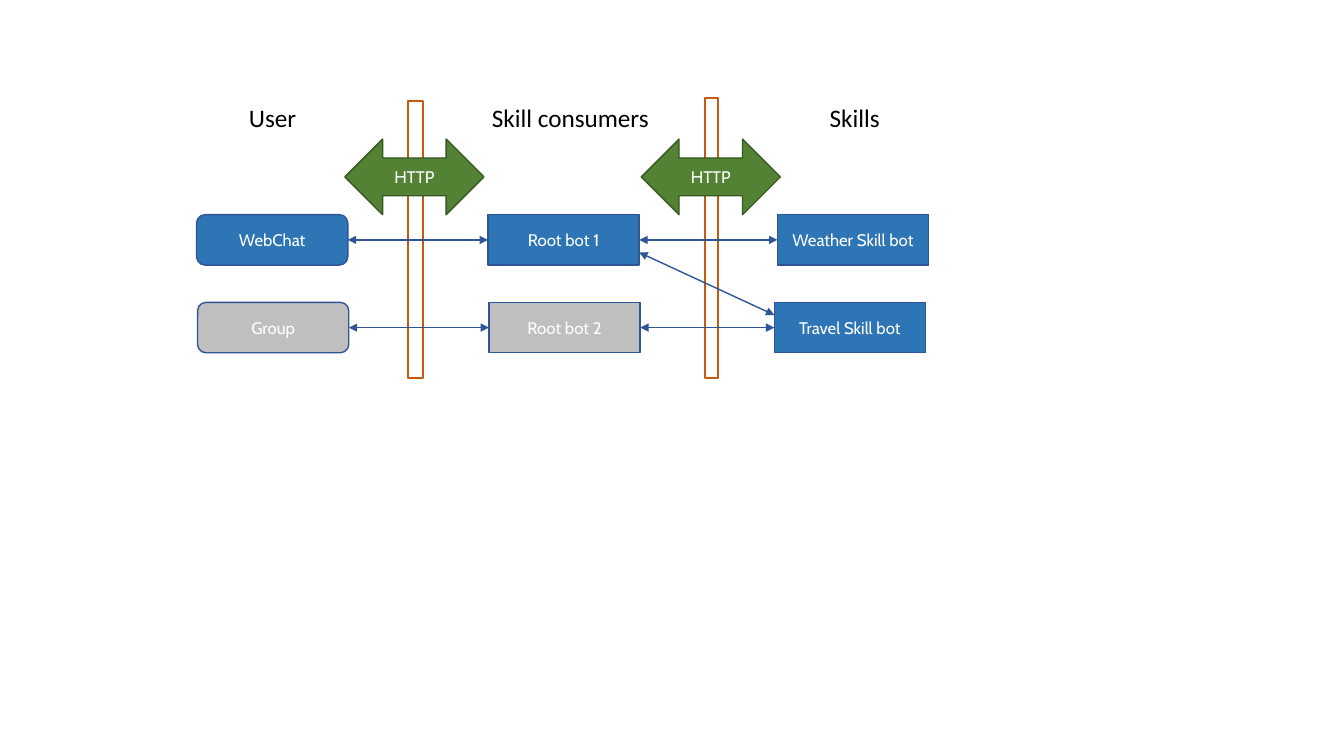
from lxml import etree
from pptx import Presentation
from pptx.dml.color import RGBColor
from pptx.enum.shapes import MSO_CONNECTOR, MSO_SHAPE
from pptx.enum.text import MSO_ANCHOR, MSO_AUTO_SIZE, PP_ALIGN
from pptx.oxml.ns import qn
from pptx.util import Emu, Pt

STRAIGHT = MSO_CONNECTOR.STRAIGHT
RECTANGLE = MSO_SHAPE.RECTANGLE
ROUNDED = MSO_SHAPE.ROUNDED_RECTANGLE
DOUBLE_ARROW = MSO_SHAPE.LEFT_RIGHT_ARROW
MIDDLE = MSO_ANCHOR.MIDDLE
FIT_TEXT = MSO_AUTO_SIZE.SHAPE_TO_FIT_TEXT
CENTER = PP_ALIGN.CENTER
LEFT_SIDE, RIGHT_SIDE = 1, 3
PX = 9144

COLORS = {
    "active": "2E75B6", "inactive": "BFBFBF", "outline": "2F5597",
    "barrier": "C55A11", "protocol": "548235", "protocol_line": "385723",
    "heading": "000000", "label": "FFFFFF",
}
HEADING_FONT = {"name": "Calibri", "size": Pt(18)}
LABEL_FONT = {"name": "Cabin", "size": Pt(12)}
ROW_TOPS = (213, 300)
BOX_WIDTH, BOX_HEIGHT = 150, 50

COLUMNS = {
    "User": {
        "heading": (237, 97, 68, 40), "shape": ROUNDED,
        "boxes": [(195, "WebChat", "active"), (196, "Group", "inactive")],
    },
    "Skill consumers": {
        "heading": (478, 97, 178, 40), "shape": RECTANGLE,
        "boxes": [(484, "Root bot 1", "active"), (485, "Root bot 2", "inactive")],
    },
    "Skills": {
        "heading": (813, 97, 70, 40), "shape": RECTANGLE,
        "boxes": [(771, "Weather Skill bot", "active"), (768, "Travel Skill bot", "active")],
    },
}
BARRIERS = [(405, 100, 15, 275), (699, 97, 13, 278)]


def scaled(*lengths):
    """Turn lengths in px into EMU."""
    return [Emu(length * PX) for length in lengths]


def write_text(shape, text, font, color):
    """Write one formatted paragraph into a shape and return it."""
    paragraph = shape.text_frame.paragraphs[0]
    run = paragraph.add_run()
    run.text = text
    for attribute, value in font.items():
        setattr(run.font, attribute, value)
    run.font.color.rgb = RGBColor.from_string(COLORS[color])
    return paragraph


def add_box(slide, kind, box, fill, line, width=1, text=None):
    """Add an outlined shape with an optional fill and centred label."""
    shape = slide.shapes.add_shape(kind, *scaled(*box))
    shape.shadow.inherit = False
    if fill:
        shape.fill.solid()
        shape.fill.fore_color.rgb = RGBColor.from_string(COLORS[fill])
    else:
        shape.fill.background()
    shape.line.color.rgb = RGBColor.from_string(COLORS[line])
    shape.line.width = Pt(width)
    if text:
        shape.text_frame.word_wrap = True
        shape.text_frame.vertical_anchor = MIDDLE
        write_text(shape, text, LABEL_FONT, "label").alignment = CENTER
    return shape


def add_barrier(slide, box):
    """Add a boundary between two columns with its HTTP arrow."""
    add_box(slide, RECTANGLE, box, None, "barrier", 1.5)
    arrow = (box[0] - 63, 138, 138, 75)
    add_box(slide, DOUBLE_ARROW, arrow, "protocol", "protocol_line", text="HTTP")


def add_column(slide, heading, column):
    """Add a heading and its stacked boxes, and return the boxes."""
    title = slide.shapes.add_textbox(*scaled(*column["heading"]))
    title.text_frame.word_wrap = False
    title.text_frame.auto_size = FIT_TEXT
    write_text(title, heading, HEADING_FONT, "heading")
    return [
        add_box(slide, column["shape"], (left, top, BOX_WIDTH, BOX_HEIGHT),
                fill, "outline", text=label)
        for top, (left, label, fill) in zip(ROW_TOPS, column["boxes"])
    ]


def add_link(slide, start, end):
    """Add a line between two points with an arrowhead at each end."""
    link = slide.shapes.add_connector(STRAIGHT, *start, *end)
    link.line.color.rgb = RGBColor.from_string(COLORS["outline"])
    link.line.width = Pt(1)
    outline = link.line._get_or_add_ln()
    for tag in ("a:headEnd", "a:tailEnd"):
        etree.SubElement(outline, qn(tag), type="triangle")
    etree.SubElement(link._element.spPr, qn("a:effectLst"))
    return link


def join_boxes(slide, left_box, right_box):
    """Join the facing sides of two boxes in one row."""
    middle = left_box.top + left_box.height // 2
    link = add_link(slide, (right_box.left, middle),
                    (left_box.left + left_box.width, middle))
    link.begin_connect(right_box, LEFT_SIDE)
    link.end_connect(left_box, RIGHT_SIDE)


def add_diagram(slide):
    """Add the barriers, the columns and the links between them."""
    for barrier in BARRIERS:
        add_barrier(slide, barrier)
    users, consumers, skills = [
        add_column(slide, heading, column) for heading, column in COLUMNS.items()
    ]
    for left_column, right_column in ((users, consumers), (consumers, skills)):
        for left_box, right_box in zip(left_column, right_column):
            join_boxes(slide, left_box, right_box)
    root, travel = consumers[0], skills[1]
    add_link(slide, (travel.left, travel.top + travel.height // 4),
             (root.left + root.width, root.top + root.height * 3 // 4))


def main():
    """Build and save the presentation."""
    presentation = Presentation()
    presentation.slide_width, presentation.slide_height = scaled(1333, 750)
    slide = presentation.slides.add_slide(presentation.slide_layouts[6])
    add_diagram(slide)
    presentation.save("out.pptx")


if __name__ == "__main__":
    main()
